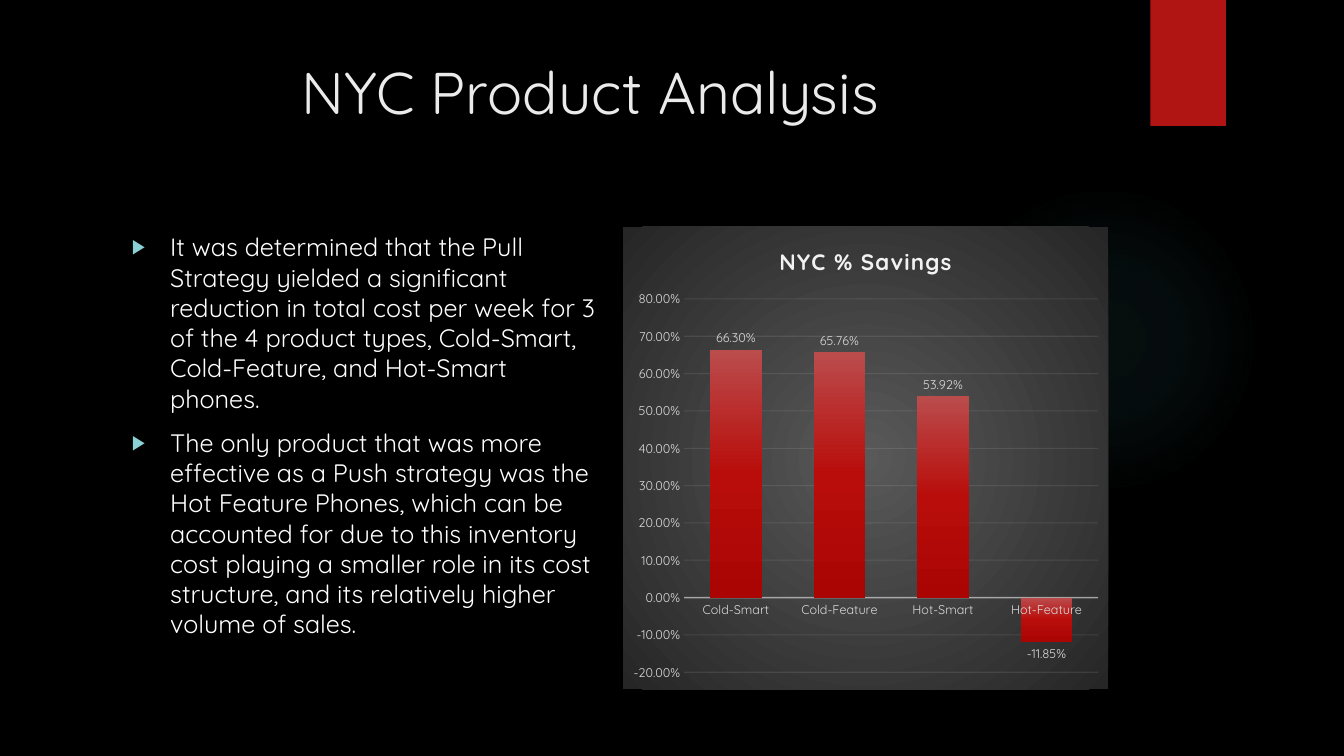
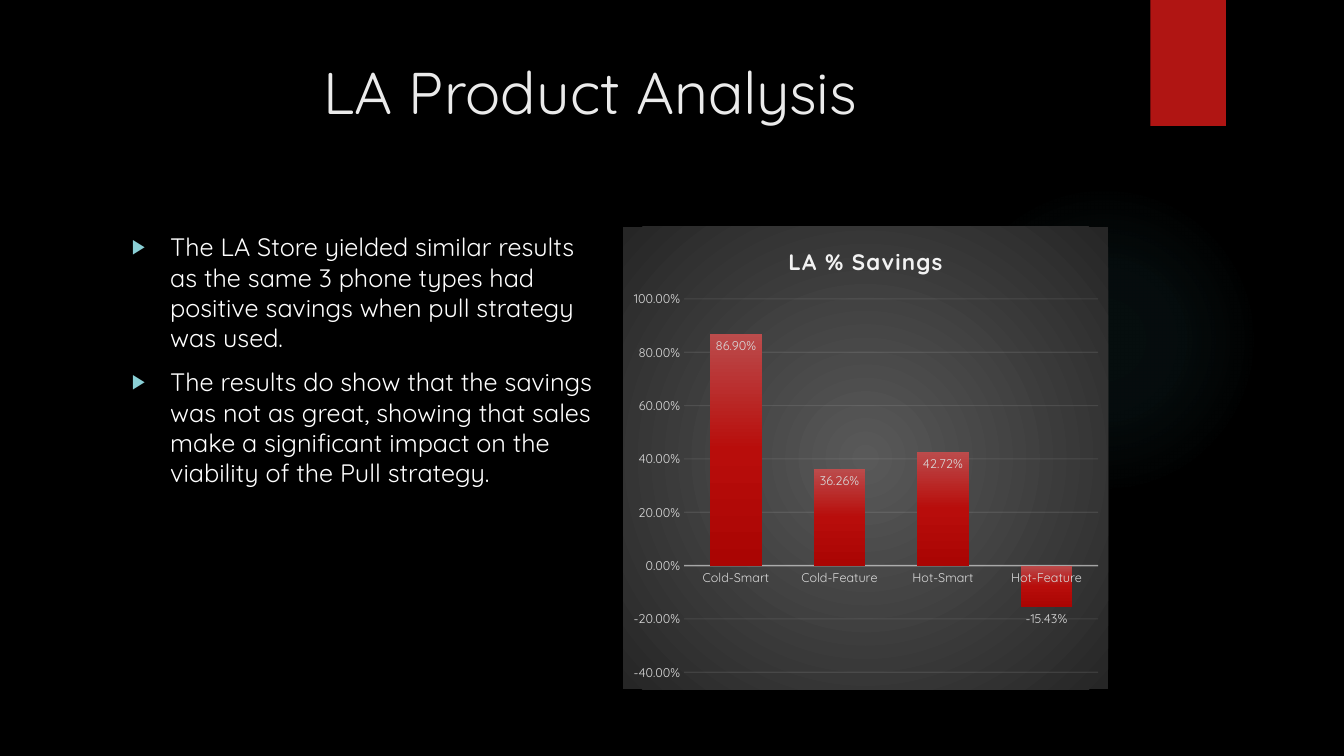
from lxml.etree import SubElement
from pptx import Presentation
from pptx.chart.data import CategoryChartData
from pptx.dml.color import RGBColor
from pptx.enum.chart import XL_CHART_TYPE, XL_LABEL_POSITION, XL_TICK_MARK
from pptx.enum.shapes import MSO_SHAPE
from pptx.enum.text import MSO_ANCHOR, PP_ALIGN
from pptx.oxml import parse_xml
from pptx.oxml.ns import nsdecls, qn
from pptx.util import Inches, Pt

FONT = "Quicksand"
BLACK = RGBColor(0x00, 0x00, 0x00)
WHITE = RGBColor(0xFF, 0xFF, 0xFF)
TITLE_GREY = RGBColor(0xEB, 0xEB, 0xEB)
CHART_LIGHT = RGBColor(0xF2, 0xF2, 0xF2)
LABEL_GREY = RGBColor(0xD9, 0xD9, 0xD9)
RED = RGBColor(0xB0, 0x15, 0x13)
TEAL = RGBColor(0x50, 0xB9, 0xC1)
BULLET_TEAL = RGBColor(0x8A, 0xD0, 0xD6)
PANEL_GREY = RGBColor(0x59, 0x59, 0x59)
PANEL_DARK = RGBColor(0x26, 0x26, 0x26)
BAR_STOPS = [(0, RGBColor(0xBB, 0x4C, 0x4C), 100),
             (50, RGBColor(0xB8, 0x0D, 0x0B), 100),
             (100, RGBColor(0xAA, 0x05, 0x03), 100)]
PANEL_STOPS = [(0, PANEL_GREY, 100), (100, PANEL_DARK, 100)]
GLOW_STOPS = [(0, TEAL, 7), (36, TEAL, 6), (69, TEAL, 0)]

RADIAL = ('<a:path path="circle"><a:fillToRect l="50000" t="50000" '
          'r="50000" b="50000"/></a:path>')
DOWNWARD = '<a:lin ang="5400000" scaled="0"/>'

# Two equal columns, a gap apart, share one row
COLUMN, GAP, LEFT = 4.81, 0.16, 1.21
ROW_TOP, ROW_HEIGHT = 2.25, 4.59
CATEGORIES = ["Cold-Smart", "Cold-Feature", "Hot-Smart", "Hot-Feature"]

STORES = [
    {"name": "NYC", "values": [0.663, 0.6576, 0.5392, -0.1185],
     "scale": (-0.2, 0.8, 0.1), "label_position": XL_LABEL_POSITION.OUTSIDE_END,
     "points": [
         "It was determined that the Pull Strategy yielded a significant reduction "
         "in total cost per week for 3 of the 4 product types, Cold-Smart, "
         "Cold-Feature, and Hot-Smart phones.",
         "The only product that was more effective as a Push strategy was the Hot "
         "Feature Phones, which can be accounted for due to this inventory cost "
         "playing a smaller role in its cost structure, and its relatively higher "
         "volume of sales."]},
    {"name": "LA", "values": [0.869, 0.3626, 0.4272, -0.1543],
     "scale": (-0.4, 1.0, 0.2), "label_position": XL_LABEL_POSITION.INSIDE_END,
     "points": [
         "The LA Store yielded similar results as the same 3 phone types had "
         "positive savings when pull strategy was used.",
         "The results do show that the savings was not as great, showing that "
         "sales make a significant impact on the viability of the Pull strategy."]},
]


def gradient(stops, direction):
    marks = "".join(
        f'<a:gs pos="{place * 1000}"><a:srgbClr val="{color}">'
        f'<a:alpha val="{opacity * 1000}"/></a:srgbClr></a:gs>'
        for place, color, opacity in stops)
    return parse_xml(f'<a:gradFill {nsdecls("a")} rotWithShape="1">'
                     f'<a:gsLst>{marks}</a:gsLst>{direction}</a:gradFill>')


def style_font(font, size, color, bold=False):
    font.name, font.size, font.bold = FONT, Pt(size), bold
    font.color.rgb = color


deck = Presentation()
deck.slide_width, deck.slide_height = Inches(13.33), Inches(7.5)
background = deck.slide_master.background.fill
background.solid()
background.fore_color.rgb = BLACK

for store in STORES:
    page = deck.slides.add_slide(deck.slide_layouts[5])

    # Glow and red tab
    glow = page.shapes.add_shape(MSO_SHAPE.OVAL, Inches(9.41), Inches(1.83),
                                 Inches(3.08), Inches(3.08))
    tab = page.shapes.add_shape(MSO_SHAPE.RECTANGLE, Inches(11.41), 0,
                                Inches(0.75), Inches(1.25))
    for shape in (glow, tab):
        shape.shadow.inherit = False
        shape.line.fill.background()
        shape.fill.solid()
        shape.fill.fore_color.rgb = RED
    glow_fill = glow._element.spPr.find(qn("a:solidFill"))
    glow_fill.getparent().replace(glow_fill, gradient(GLOW_STOPS, RADIAL))

    # Title
    title = page.shapes.title
    title.left, title.top = Inches(0.71), Inches(0.5)
    title.width, title.height = Inches(10.29), Inches(1.53)
    title.text_frame.vertical_anchor = MSO_ANCHOR.TOP
    title.text_frame.text = f"{store['name']} Product Analysis"
    para = title.text_frame.paragraphs[0]
    para.alignment = PP_ALIGN.CENTER
    style_font(para.font, 42, TITLE_GREY)

    # Findings
    box = page.shapes.add_textbox(Inches(LEFT), Inches(ROW_TOP),
                                  Inches(COLUMN), Inches(ROW_HEIGHT))
    box.text_frame.word_wrap = True
    box.text_frame.text = "\n".join(store["points"])
    for para in box.text_frame.paragraphs:
        para.space_before = Pt(10)
        style_font(para.font, 18, WHITE)
        settings = para._p.get_or_add_pPr()
        settings.set("marL", str(Inches(0.38)))
        settings.set("indent", str(-Inches(0.38)))
        bullet = parse_xml(
            f'<a:pPr {nsdecls("a")}><a:buClr><a:srgbClr val="{BULLET_TEAL}"/></a:buClr>'
            '<a:buSzPct val="80000"/><a:buFont typeface="Arial"/>'
            '<a:buChar char="▶"/></a:pPr>')
        for place, part in enumerate(list(bullet), start=1):
            settings.insert(place, part)

    # Chart and its panel
    data = CategoryChartData(number_format="0.00%")
    data.categories = CATEGORIES
    data.add_series(f"{store['name']} % Savings", store["values"])
    chart = page.shapes.add_chart(
        XL_CHART_TYPE.COLUMN_CLUSTERED, Inches(LEFT + COLUMN + GAP), Inches(ROW_TOP),
        Inches(COLUMN), Inches(ROW_HEIGHT), data).chart
    style_font(chart.font, 10, WHITE)
    chart.has_legend = False
    panel = parse_xml(f'<c:spPr {nsdecls("c", "a")}><a:ln><a:noFill/></a:ln></c:spPr>')
    panel.insert(0, gradient(PANEL_STOPS, RADIAL))
    chart._chartSpace.chart.addnext(panel)

    # Chart title
    chart.has_title = True
    chart.chart_title.include_in_layout = False
    para = chart.chart_title.text_frame.paragraphs[0]
    span = para.add_run()
    span.text = f"{store['name']} % Savings"
    style_font(span.font, 16, CHART_LIGHT, bold=True)
    span._r.get_or_add_rPr().set("spc", "100")

    # Plot area, as shares of the chart
    plot_area = chart._chartSpace.chart.plotArea
    for old in plot_area.findall(qn("c:layout")):
        plot_area.remove(old)
    shares = {"x": 0.126, "y": 0.156, "w": 0.854, "h": 0.807}
    places = "".join(f'<c:{key} val="{share}"/>' for key, share in shares.items())
    plot_area.insert(0, parse_xml(
        f'<c:layout {nsdecls("c")}><c:manualLayout><c:layoutTarget val="inner"/>'
        f'<c:xMode val="edge"/><c:yMode val="edge"/>{places}'
        '</c:manualLayout></c:layout>'))

    # Axes
    value_axis, category_axis = chart.value_axis, chart.category_axis
    value_axis.minimum_scale, value_axis.maximum_scale, value_axis.major_unit = store["scale"]
    value_axis.tick_labels.number_format = "0.00%"
    value_axis.tick_labels.number_format_is_linked = False
    value_axis.format.line.fill.background()
    for axis, line, width, opacity in (
            (value_axis, value_axis.major_gridlines.format.line, 0.75, 10),
            (category_axis, category_axis.format.line, 1, 54)):
        axis.major_tick_mark = axis.minor_tick_mark = XL_TICK_MARK.NONE
        line.width = Pt(width)
        line.color.rgb = CHART_LIGHT
        line_color = axis._element.find(".//" + qn("a:srgbClr"))
        SubElement(line_color, qn("a:alpha"), val=str(opacity * 1000))
        style_font(axis.tick_labels.font, 9, LABEL_GREY)

    # Bars and their labels
    plot = chart.plots[0]
    plot.gap_width, plot.overlap, plot.vary_by_categories = 100, -24, False
    bars = plot.series[0]
    bars.invert_if_negative = False
    bars.format.fill.solid()
    bar_fill = bars._element.find(".//" + qn("a:solidFill"))
    bar_fill.getparent().replace(bar_fill, gradient(BAR_STOPS, DOWNWARD))
    labels = bars.data_labels
    labels.show_value = True
    labels.number_format, labels.number_format_is_linked = "0.00%", False
    labels.position = store["label_position"]
    style_font(labels.font, 9, LABEL_GREY)
    loss_label = bars.points[3].data_label
    style_font(loss_label.font, 9, LABEL_GREY)
    loss_label.position = XL_LABEL_POSITION.OUTSIDE_END

deck.save("out.pptx")
